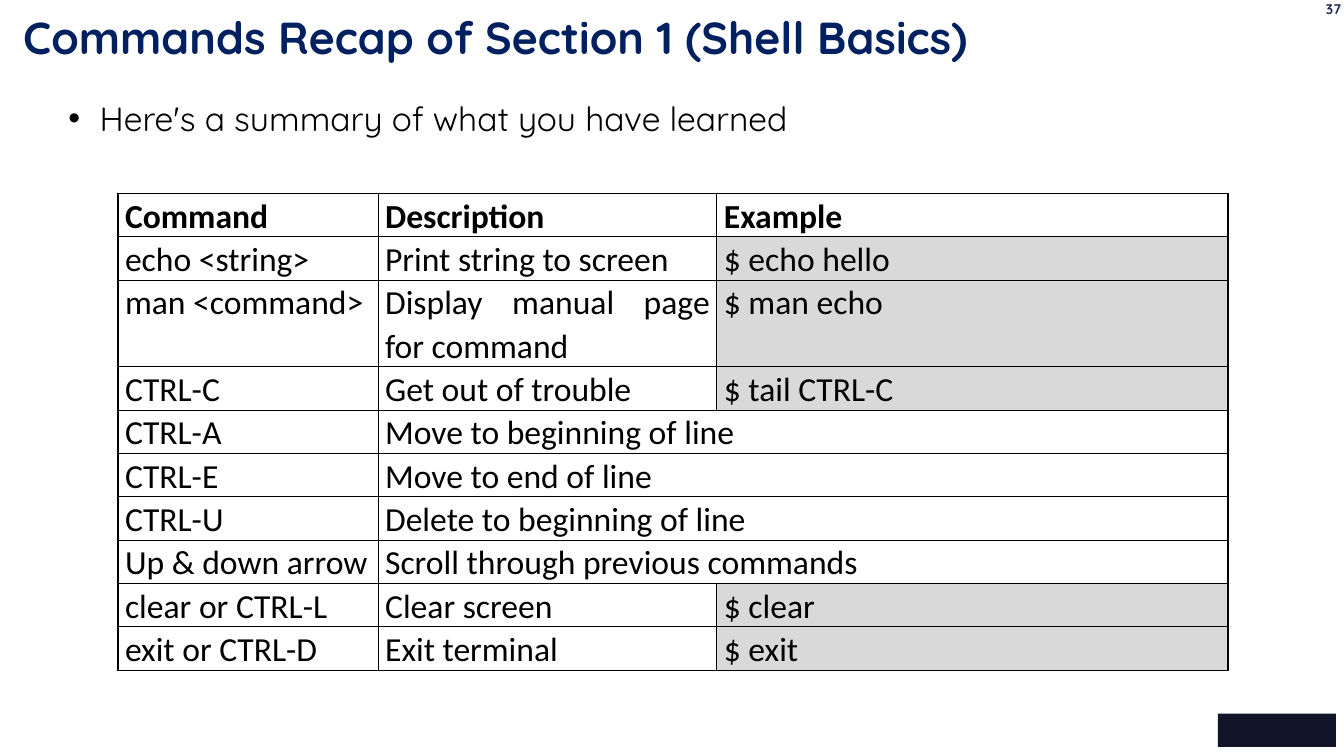
from dataclasses import dataclass

import pptx
import pptx.dml.color
import pptx.enum.shapes
import pptx.enum.text
import pptx.oxml
import pptx.oxml.ns
import pptx.util

Inches = pptx.util.Inches
Pt = pptx.util.Pt
ALIGN = pptx.enum.text.PP_ALIGN
ANCHOR = pptx.enum.text.MSO_ANCHOR


@dataclass(frozen=True)
class Theme:
    heading_font: str = "Quicksand"
    table_font: str = "Calibri"
    title_color: str = "002060"
    number_color: str = "242852"
    text_color: str = "000000"
    badge_color: str = "121429"
    example_color: str = "D9D9D9"
    title_size: int = 32
    body_size: int = 24
    number_size: int = 10


@dataclass(frozen=True)
class Command:
    name: str
    description: str
    example: str = ""  # without an example the description spans both columns
    lines: int = 1


THEME = Theme()
HEADER = Command("Command", "Description", "Example")
COMMANDS = [
    Command("echo <string>", "Print string to screen", "$ echo hello"),
    Command("man <command>", "Display manual page for command", "$ man echo", 2),
    Command("CTRL-C", "Get out of trouble", "$ tail CTRL-C"),
    Command("CTRL-A", "Move to beginning of line"),
    Command("CTRL-E", "Move to end of line"),
    Command("CTRL-U", "Delete to beginning of line"),
    Command("Up & down arrow", "Scroll through previous commands"),
    Command("clear or CTRL-L", "Clear screen", "$ clear"),
    Command("exit or CTRL-D", "Exit terminal", "$ exit"),
]
COLUMN_WIDTHS = (2.58, 3.36, 5.07)
LINE_HEIGHT = 0.43


def rgb(color: str) -> pptx.dml.color.RGBColor:
    return pptx.dml.color.RGBColor.from_string(color)


def set_attrs(target, values: dict) -> None:
    for name, value in values.items():
        setattr(target, name, value)


def write(tf, text: str, font: str, size: int, color: str,
          bold: bool = False, **paragraph_format) -> None:
    p = tf.paragraphs[0]
    set_attrs(p, paragraph_format)
    r = p.add_run()
    r.text = text
    set_attrs(r.font, {"name": font, "size": Pt(size), "bold": bold})
    r.font.color.rgb = rgb(color)


def add_bullet(p, indent: float) -> None:
    pPr = p._p.get_or_add_pPr()
    pPr.set("marL", str(Inches(indent)))
    pPr.set("indent", str(-Inches(indent)))
    pPr.append(pptx.oxml.parse_xml(
        f'<a:buFont {pptx.oxml.ns.nsdecls("a")} typeface="Arial"/>'))
    pPr.append(pptx.oxml.parse_xml(
        f'<a:buChar {pptx.oxml.ns.nsdecls("a")} char="•"/>'))


def add_borders(cell, color: str) -> None:
    tcPr = cell._tc.get_or_add_tcPr()
    for side in ("lnL", "lnR", "lnT", "lnB"):
        tcPr.append(pptx.oxml.parse_xml(
            f'<a:{side} {pptx.oxml.ns.nsdecls("a")} w="{Pt(1)}">'
            f'<a:solidFill><a:srgbClr val="{color}"/></a:solidFill></a:{side}>'))


def add_label(s, left: float, top: float, width: float, height: float):
    tf = s.shapes.add_textbox(*map(Inches, (left, top, width, height))).text_frame
    tf.word_wrap = True
    return tf


def fill_cell(cell, text: str, bold: bool, shaded: bool) -> None:
    set_attrs(cell, {"margin_left": Inches(0.07), "margin_right": Inches(0.07),
                     "margin_top": 0, "margin_bottom": 0})
    add_borders(cell, THEME.text_color)
    if shaded:
        cell.fill.solid()
        cell.fill.fore_color.rgb = rgb(THEME.example_color)
    else:
        cell.fill.background()
    if text:
        write(cell.text_frame, text, THEME.table_font, THEME.body_size,
              THEME.text_color, bold, alignment=ALIGN.JUSTIFY, line_spacing=1.07)


def add_command_table(s) -> None:
    rows = [HEADER, *COMMANDS]
    height = LINE_HEIGHT * sum(row.lines for row in rows)
    table = s.shapes.add_table(len(rows), len(COLUMN_WIDTHS), Inches(1.17), Inches(1.92),
                               Inches(sum(COLUMN_WIDTHS)), Inches(height)).table
    set_attrs(table, {"first_row": False, "horz_banding": False})
    for column, width in zip(table.columns, COLUMN_WIDTHS):
        column.width = Inches(width)
    for i, row in enumerate(rows):
        table.rows[i].height = Inches(LINE_HEIGHT * row.lines)
        if not row.example:
            table.cell(i, 1).merge(table.cell(i, 2))
        is_header = row is HEADER
        for j, text in enumerate((row.name, row.description, row.example)):
            shaded = j == 2 and bool(text) and not is_header
            fill_cell(table.cell(i, j), text, is_header, shaded)


def main() -> None:
    prs = pptx.Presentation()
    set_attrs(prs, {"slide_width": Inches(13.33), "slide_height": Inches(7.5)})
    s = prs.slides.add_slide(prs.slide_layouts[5])

    # Corner badge
    badge = s.shapes.add_shape(pptx.enum.shapes.MSO_SHAPE.RECTANGLE,
                               *map(Inches, (12.08, 7.08, 1.17, 0.33)))
    badge.shadow.inherit = False
    badge.fill.solid()
    badge.fill.fore_color.rgb = rgb(THEME.badge_color)
    badge.line.fill.background()

    # Page number
    write(add_label(s, 12.82, -0.04, 0.58, 0.27), "37", THEME.heading_font,
          THEME.number_size, THEME.number_color, True, alignment=ALIGN.RIGHT)

    # Title
    title = s.shapes.title
    set_attrs(title, {"left": Inches(0.13), "top": Inches(0.05),
                      "width": Inches(12.73), "height": Inches(0.63)})
    set_attrs(title.text_frame, {"word_wrap": True, "vertical_anchor": ANCHOR.MIDDLE,
                                 "auto_size": pptx.enum.text.MSO_AUTO_SIZE.NONE})
    write(title.text_frame, "Commands Recap of Section 1 (Shell Basics)", THEME.heading_font,
          THEME.title_size, THEME.title_color, True, alignment=ALIGN.LEFT)

    # Introduction
    tf = add_label(s, 0.58, 0.92, 12.28, 0.5)
    add_bullet(tf.paragraphs[0], 0.31)
    write(tf, "Here's a summary of what you have learned", THEME.heading_font,
          THEME.body_size, THEME.text_color)

    # Command summary
    add_command_table(s)
    prs.save("out.pptx")


if __name__ == "__main__":
    main()
